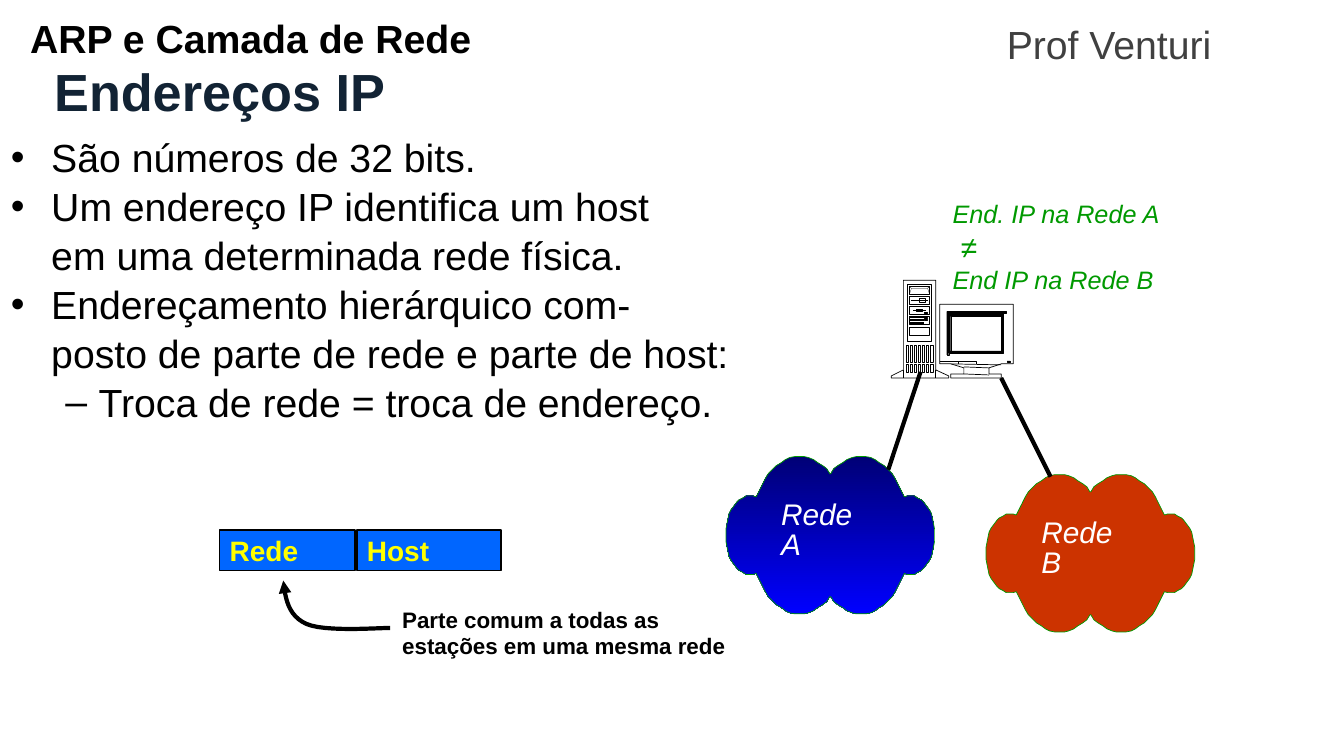
from lxml import etree
from pptx import Presentation
from pptx.dml.color import RGBColor
from pptx.enum.shapes import MSO_CONNECTOR, MSO_SHAPE
from pptx.enum.text import MSO_ANCHOR, MSO_AUTO_SIZE, PP_ALIGN
from pptx.oxml.ns import qn
from pptx.util import Pt

STRAIGHT = MSO_CONNECTOR.STRAIGHT
RECTANGLE = MSO_SHAPE.RECTANGLE
TOP, MIDDLE = MSO_ANCHOR.TOP, MSO_ANCHOR.MIDDLE
LEFT, CENTER = PP_ALIGN.LEFT, PP_ALIGN.CENTER
NO_AUTOFIT = MSO_AUTO_SIZE.NONE

BLACK = RGBColor(0x00, 0x00, 0x00)
WHITE = RGBColor(0xFF, 0xFF, 0xFF)
GRAY = RGBColor(0x40, 0x40, 0x40)
NAVY = RGBColor(0x12, 0x23, 0x34)
DARK_BLUE = RGBColor(0x00, 0x00, 0x76)
BLUE = RGBColor(0x00, 0x00, 0xFF)
FIELD_BLUE = RGBColor(0x00, 0x66, 0xFF)
YELLOW = RGBColor(0xFF, 0xFF, 0x00)
GREEN = RGBColor(0x00, 0x99, 0x00)
RED = RGBColor(0xCC, 0x33, 0x00)

CLOUD_WIDTH, CLOUD_HEIGHT = 207, 156
CLOUD_QUARTER = [
    (0, 78), (0, 72), (1, 67), (2, 62), (3, 57), (5, 53), (8, 49), (11, 45),
    (13, 43), (17, 41), (20, 39), (23, 39), (27, 39), (30, 40), (33, 34),
    (36, 28), (39, 22), (42, 17), (46, 13), (50, 9), (55, 6), (59, 3), (63, 1),
    (68, 0), (73, 0), (78, 0), (82, 1), (87, 3), (91, 6), (96, 9), (100, 12),
    (103, 17)]


def px(length):
    """Turn px (100 to the inch) into EMU."""
    return round(length * 9144)


def corners(left, top, right, bottom):
    """Return the corners of a rectangle."""
    return [(left, top), (right, top), (right, bottom), (left, bottom)]


def cloud_outline(left, top):
    """Mirror the quarter outline into a whole cloud."""
    upper = CLOUD_QUARTER + [(CLOUD_WIDTH - x, y) for x, y in reversed(CLOUD_QUARTER)]
    lower = [(x, CLOUD_HEIGHT - y) for x, y in reversed(upper)]
    return [(left + x, top + y) for x, y in upper + lower]


def bezier(start, first, second, end, steps=12):
    """Return points along a cubic curve, without its start."""
    curve = []
    for step in range(1, steps + 1):
        t = step / steps
        weights = ((1 - t) ** 3, 3 * t * (1 - t) ** 2, 3 * t * t * (1 - t), t ** 3)
        curve.append(tuple(sum(w * p[axis] for w, p in zip(weights, (start, first, second, end)))
                           for axis in (0, 1)))
    return curve


class SlideBuilder:
    """Draws styled elements on one slide."""

    font_name = "Arial"

    def __init__(self, presentation):
        """Add a title-only slide."""
        self.slide = presentation.slides.add_slide(presentation.slide_layouts[5])
        self.shapes = self.slide.shapes

    def set_text(self, shape, text, size, color, bold=False, italic=False,
                 align=LEFT, anchor=TOP, spacing=None):
        """Fill a shape with formatted text."""
        frame = shape.text_frame
        frame.text = text
        frame.word_wrap = True
        frame.auto_size = NO_AUTOFIT
        frame.vertical_anchor = anchor
        for paragraph in frame.paragraphs:
            paragraph.alignment = align
            paragraph.line_spacing = spacing
            for run in paragraph.runs:
                font = run.font
                font.name, font.size = self.font_name, Pt(size)
                font.bold, font.italic = bold, italic
                font.color.rgb = color
        return frame

    def title(self, text, left, top, width, height, size, color):
        """Place and fill the title."""
        title = self.shapes.title
        title.left, title.top, title.width, title.height = map(px, (left, top, width, height))
        frame = self.set_text(title, text, size, color, bold=True, align=CENTER)
        frame.margin_top = px(11)

    def text(self, text, left, top, width, height, size, color, **style):
        """Add a text box."""
        box = self.shapes.add_textbox(*map(px, (left, top, width, height)))
        return self.set_text(box, text, size, color, **style)

    def bullet(self, paragraph, mark, margin, hanging):
        """Give a paragraph a hanging bullet."""
        properties = paragraph._p.get_or_add_pPr()
        properties.set("marL", str(px(margin)))
        properties.set("indent", str(-px(hanging)))
        color = etree.SubElement(properties, qn("a:buClr"))
        etree.SubElement(color, qn("a:srgbClr"), val=str(BLACK))
        etree.SubElement(properties, qn("a:buFont"), typeface=self.font_name)
        etree.SubElement(properties, qn("a:buChar"), char=mark)

    def finish(self, shape, fill, line, weight):
        """Set fill and outline."""
        shape.shadow.inherit = False
        if fill is None:
            shape.fill.background()
        else:
            shape.fill.solid()
            shape.fill.fore_color.rgb = fill
        shape.line.color.rgb = line
        shape.line.width = Pt(weight)
        return shape

    def rectangle(self, left, top, width, height, weight, fill=None):
        """Add a rectangle."""
        shape = self.shapes.add_shape(RECTANGLE, *map(px, (left, top, width, height)))
        return self.finish(shape, fill, BLACK, weight)

    def outline(self, contours, weight, fill=None, line=BLACK, close=True):
        """Add a freeform made of one or more contours."""
        contours = [[(px(x), px(y)) for x, y in contour] for contour in contours]
        builder = self.shapes.build_freeform(*contours[0][0], scale=1.0)
        for index, contour in enumerate(contours):
            if index:
                builder.move_to(*contour[0])
            builder.add_line_segments(contour[1:], close=close)
        return self.finish(builder.convert_to_shape(), fill, line, weight)

    def line(self, x1, y1, x2, y2, weight):
        """Add a straight line."""
        line = self.shapes.add_connector(STRAIGHT, *map(px, (x1, y1, x2, y2)))
        line.line.color.rgb = BLACK
        line.line.width = Pt(weight)
        etree.SubElement(line._element.spPr, qn("a:effectLst"))


def draw_computer(page):
    """Draw the tower and the monitor."""
    thin, hair = 0.5, 0.13
    tower = [(884, 375), (884, 373), (896, 367), (896, 278), (928, 278), (928, 367),
             (941, 373), (941, 375)]
    monitor = [(932, 361), (943, 361), (956, 365), (956, 371), (943, 371), (943, 375),
               (993, 375), (993, 371), (981, 371), (981, 365), (993, 361), (1005, 361),
               (1005, 302), (932, 302)]
    page.outline([tower, monitor], thin, WHITE)
    for ends in [(896, 367, 896, 375), (928, 367, 928, 375), (906, 308, 918, 308),
                 (904, 298, 920, 298), (956, 371, 981, 372), (956, 364, 981, 365),
                 (943, 361, 993, 362)]:
        page.line(*ends, thin)
    page.rectangle(900, 282, 24, 57, thin)
    page.outline([corners(x, top, x + 2, bottom) for top, bottom in ((342, 359), (361, 369))
                  for x in range(899, 924, 4)], hair, WHITE)
    for drive in range(5):
        page.rectangle(902, 284 + 10 * drive, 20, 8, hair)
    page.outline([[(902, 284), (904, 286), (920, 286), (922, 284)]], hair, close=False)
    for ends in [(902, 292, 904, 286), (920, 286, 922, 292), (950, 361, 950, 358)]:
        page.line(*ends, hair)
    for y in (315, 317, 318, 320, 321):
        page.line(903, y, 916, y, hair)
    page.rectangle(912, 296, 6, 4, hair)
    for y in (310, 315, 317):
        page.rectangle(917, y, 3, 1, hair)
    bezel = [(941, 350), (995, 350), (995, 311), (998, 311), (998, 309), (939, 309),
             (939, 352), (941, 352)]
    page.outline([corners(909, 307, 915, 309), corners(999, 358, 1002, 359),
                  corners(943, 314, 993, 348), bezel], hair, BLACK)
    page.outline([[(932, 358), (968, 358), (968, 361)]], hair, close=False)


def main():
    """Build the slide and save it."""
    presentation = Presentation()
    presentation.slide_width, presentation.slide_height = px(1333), px(750)
    page = SlideBuilder(presentation)
    page.text("ARP e Camada de Rede", 20, 15, 567, 61, 28, BLACK, bold=True, spacing=0.9)
    page.text("Prof Venturi", 931, 15, 338, 50, 28, GRAY, align=CENTER)
    page.title("Endereços IP", -207, 48, 850, 58, 37.3, NAVY)

    topics = page.text("São números de 32 bits.\n"
                       "Um endereço IP identifica um host\vem uma determinada rede física.\n"
                       "Endereçamento hierárquico com-\vposto de parte de rede e parte de host:\n"
                       "Troca de rede = troca de endereço.", 1, 126, 805, 430, 28, BLACK, spacing=1.04)
    *main_topics, consequence = topics.paragraphs
    for topic in main_topics:
        page.bullet(topic, "•", 40, 40)
    consequence.level = 1
    page.bullet(consequence, "–", 87, 33)

    for letter, left, top, fill in (("A", 720, 453, BLUE), ("B", 978, 471, RED)):
        cloud = page.outline([cloud_outline(left, top)], 0.5, fill, GREEN)
        if letter == "A":
            cloud.fill.gradient()
            cloud.fill.gradient_angle = 270
            for stop, color, position in zip(cloud.fill.gradient_stops, (DARK_BLUE, BLUE), (0, 1)):
                stop.color.rgb, stop.position = color, position
        page.text(f"Rede\n{letter}", left + 45, top + 39, 117, 71, 21.3, WHITE,
                  italic=True, spacing=0.85)

    draw_computer(page)
    page.line(881, 466, 913, 369, 3)
    page.line(993, 375, 1042, 473, 3)

    for field, left, width in (("Rede", 218, 134), ("Host", 354, 143)):
        page.set_text(page.rectangle(left, 526, width, 40, 1, FIELD_BLUE), field, 20, YELLOW,
                      bold=True, anchor=MIDDLE)
    addresses = page.text("End. IP na Rede A\v ≠\vEnd IP na Rede B", 935, 192, 227, 107, 18,
                          GREEN, italic=True)
    addresses.paragraphs[0].runs[1].font.size = Pt(21.3)
    page.text("Parte comum a todas as\vestações em uma mesma rede", 389, 596, 345, 64, 16,
              BLACK, bold=True)

    start, bend, tip = (387, 623), (304, 619), (281, 576)
    curve = [start, *bezier(start, (373, 623), (322, 627), bend),
             *bezier(bend, (286, 611), (283, 594), tip)]
    arrow = page.outline([curve], 3, close=False)
    etree.SubElement(arrow._element.spPr.find(qn("a:ln")), qn("a:tailEnd"), type="triangle")
    presentation.save("out.pptx")


if __name__ == "__main__":
    main()
